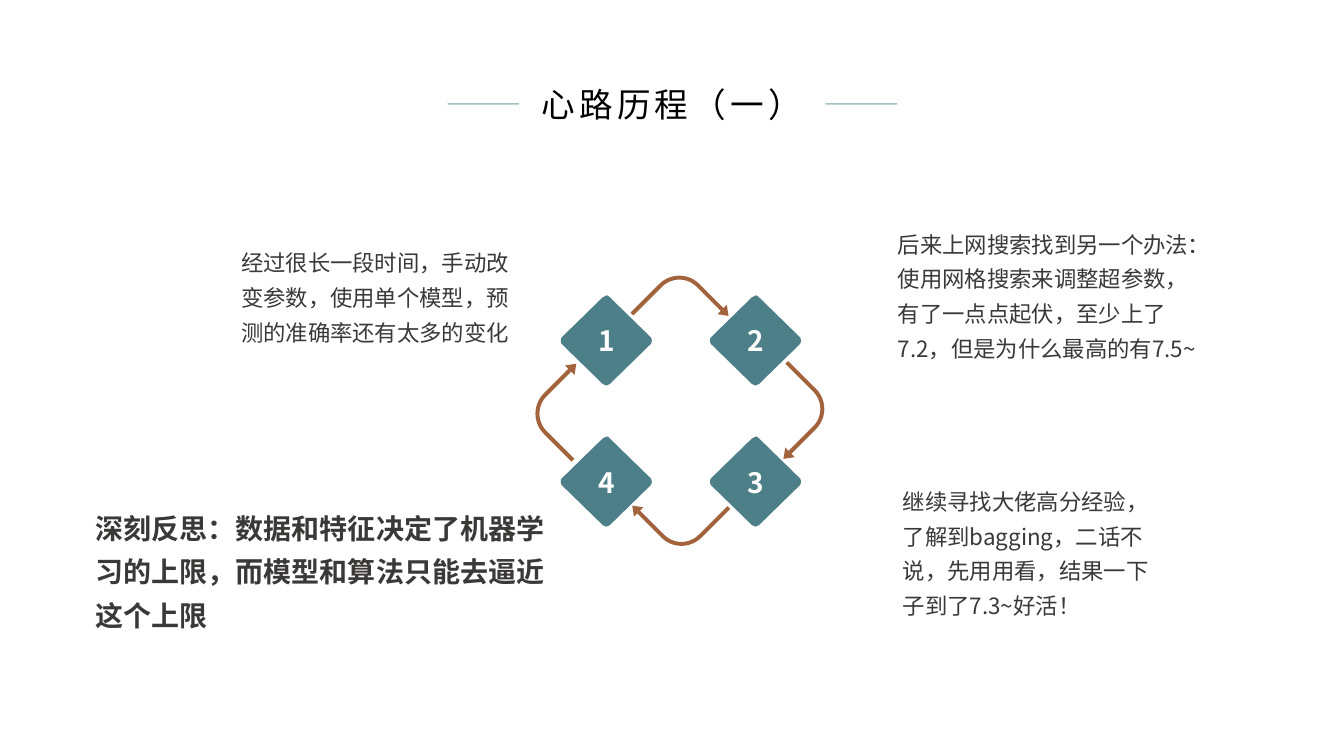
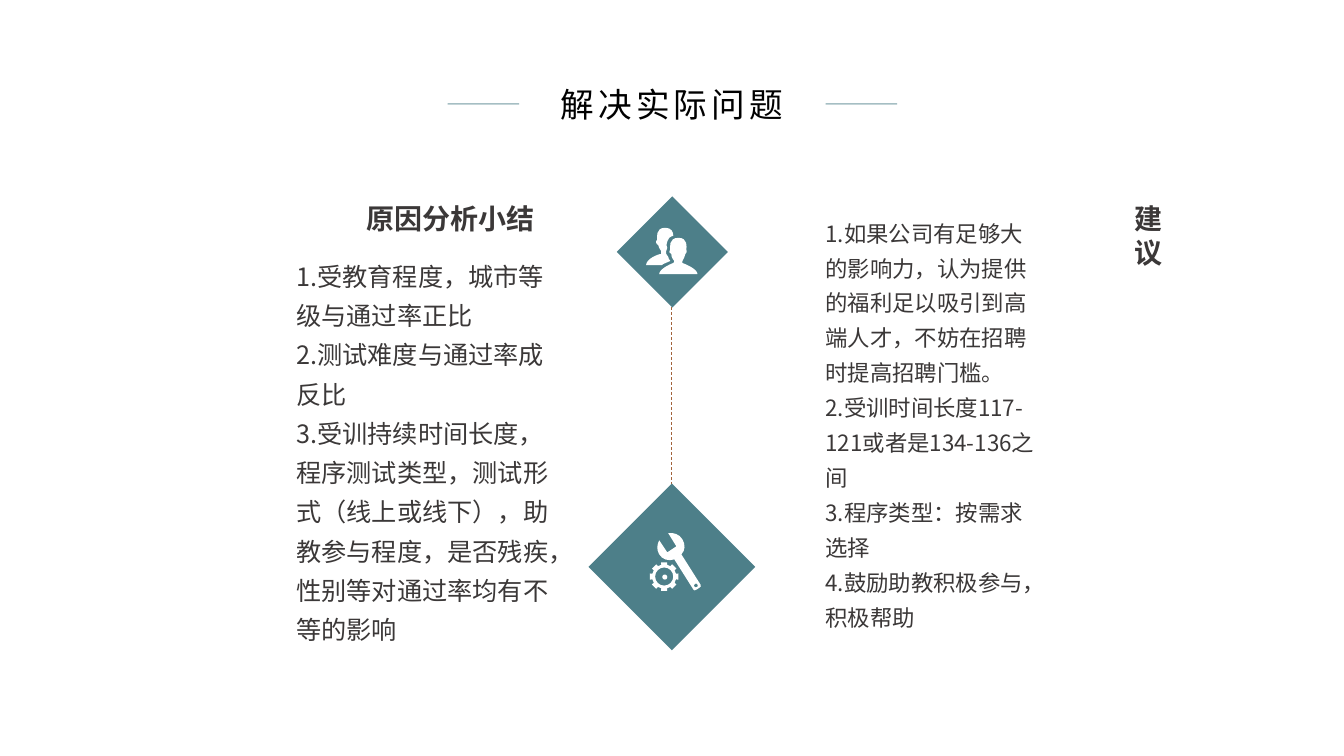
import math

import pptx
import pptx.dml.color
import pptx.enum.dml
import pptx.enum.shapes
import pptx.enum.text
import pptx.oxml.ns
import pptx.util

PX = 9144  # 100 px to the inch
FONT = "Noto Sans CJK SC"
TEAL, BROWN, WHITE, BLACK, GREY = "4D7F89", "A2633C", "FFFFFF", "000000", "3B3838"
ALIGN = pptx.enum.text.PP_ALIGN
ANCHOR = pptx.enum.text.MSO_ANCHOR
SHAPE = pptx.enum.shapes.MSO_SHAPE

DIAMOND = ("M 46 0 C 47 0 48 1 49 2 L 90 42 C 91 44 91 46 90 48 L 49 88 "
           "C 47 90 44 90 42 88 L 1 48 C 0 46 0 44 1 42 L 42 2 C 43 1 44 0 46 0 Z")
PEOPLE = ("M 36 35 L 36 33 C 36 33 38 30 39 26 C 40 26 41 23 40 21 "
          "C 40 20 42 10 32 10 C 22 10 24 20 24 21 C 22 23 23 26 25 26 "
          "C 25 30 28 33 28 33 C 28 33 28 35 27 35 C 24 36 13 41 13 46 "
          "L 51 46 C 51 41 39 36 36 35 Z "
          "M 17 36 C 19 35 22 34 24 33 C 23 32 22 30 22 29 C 21 28 21 27 20 26 "
          "C 20 25 20 24 20 23 C 20 22 20 21 21 20 C 20 18 20 14 23 10 "
          "C 24 9 26 8 27 8 C 27 4 25 0 19 0 C 9 0 11 10 11 12 "
          "C 9 13 10 17 12 17 C 13 21 15 23 15 23 L 15 26 "
          "C 12 26 0 31 0 37 L 16 37 C 17 37 17 36 17 36 Z")
WRENCH = ("M 44 52 L 25 22 C 29 18 29 12 26 7 C 23 2 17 0 12 1 L 20 14 L 11 20 "
          "L 3 8 C 1 12 0 17 3 22 C 6 27 12 29 18 27 L 37 57 "
          "C 37 58 39 58 40 57 L 43 55 C 44 55 45 53 44 52 Z "
          "M 41 54 C 40 55 38 55 38 54 C 37 53 37 52 39 51 "
          "C 39 51 41 51 41 52 C 42 52 41 54 41 54 Z")
GEAR_HOLE = ("M 9 0 C 9 5 5 9 0 9 C -5 9 -9 5 -9 0 "
             "C -9 -5 -5 -9 0 -9 C 5 -9 9 -5 9 0 Z")


def px(*values):
    return [pptx.util.Emu(round(v * PX)) for v in values]


def rgb(color):
    return pptx.dml.color.RGBColor.from_string(color)


def child(parent, tag, **attributes):
    """Append a new element to an XML parent."""
    element = parent.makeelement(pptx.oxml.ns.qn(tag), attributes)
    parent.append(element)
    return element


def paint(sp, color):
    sp.shadow.inherit = False
    sp.fill.solid()
    sp.fill.fore_color.rgb = rgb(color)
    sp.line.fill.background()


def write(sp, lines, size, color=GREY, bold=False, align=ALIGN.LEFT,
          spacing=1.0, tracking=0, anchor=ANCHOR.TOP):
    """Fill a shape with unbulleted paragraphs of one style."""
    tf = sp.text_frame
    tf.word_wrap = True
    tf.vertical_anchor = anchor
    tf.text = "\n".join(lines)
    for p in tf.paragraphs:
        pPr = p._p.get_or_add_pPr()
        pPr.set("marL", "0")
        pPr.set("indent", "0")
        child(pPr, "a:buNone")
        p.alignment = align
        p.line_spacing = spacing
        p.space_before = pptx.util.Pt(0)
        p.font.name = FONT
        p.font.size = pptx.util.Pt(size)
        p.font.bold = bold
        p.font.color.rgb = rgb(color)
        defaults = pPr.find(pptx.oxml.ns.qn("a:defRPr"))
        defaults.set("spc", str(tracking * 100))
        child(defaults, "a:ea", typeface=FONT)


def growing_text(sp, lines, size, **style):
    write(sp, lines, size, **style)
    sp.text_frame.auto_size = pptx.enum.text.MSO_AUTO_SIZE.SHAPE_TO_FIT_TEXT


def text_box(s, box, lines, size, **style):
    growing_text(s.shapes.add_textbox(*px(*box)), lines, size, **style)


def placeholder(s, idx, box, lines, size, **style):
    sp = s.placeholders[idx]
    sp.left, sp.top, sp.width, sp.height = px(*box)
    growing_text(sp, lines, size, **style)


def line(s, ends, color, width, alpha=None, dash=None):
    sp = s.shapes.add_connector(pptx.enum.shapes.MSO_CONNECTOR.STRAIGHT, *px(*ends))
    sp.line.color.rgb = rgb(color)
    sp.line.width = pptx.util.Pt(width)
    if dash:
        sp.line.dash_style = dash
    spPr = sp._element.spPr
    if alpha:
        srgb = next(spPr.iter(pptx.oxml.ns.qn("a:srgbClr")))
        child(srgb, "a:alpha", val=str(alpha * 1000))
    child(spPr, "a:effectLst")


def shape(s, kind, box, color, rotation=0):
    sp = s.shapes.add_shape(kind, *px(*box))
    paint(sp, color)
    sp.rotation = rotation
    return sp


def gear(teeth=8, tip=14.5, root=12):
    """Outline of a toothed ring around its own centre."""
    profile = [(root, -14), (tip, -12), (tip, 12), (root, 14)]
    corners = []
    for i in range(teeth):
        for radius, degrees in profile:
            a = math.radians(i * 360 / teeth + degrees)
            corners.append(f"{radius * math.cos(a):.2f} {radius * math.sin(a):.2f}")
    return "M " + " L ".join(corners) + " Z " + GEAR_HOLE


def freeform(s, outline, left, top, color):
    """Draw an outline of M, L, C and Z commands."""
    tokens = iter(outline.split())
    commands = []
    for command in tokens:
        count = {"C": 3, "Z": 0}.get(command, 1)
        points = [px(left + float(next(tokens)), top + float(next(tokens)))
                  for _ in range(count)]
        commands.append((command, points))
    builder = s.shapes.build_freeform(*commands[0][1][0], scale=1.0)
    for command, points in commands[1:]:
        if command == "M":
            builder.move_to(*points[0])
        else:
            builder.add_line_segments(points, close=command == "Z")
    sp = builder.convert_to_shape()
    segments = iter(list(sp._element.iter(pptx.oxml.ns.qn("a:lnTo"))))
    for command, points in commands:
        if command == "L":
            next(segments)
        elif command == "C":
            curve = [next(segments) for _ in points]
            curve[0].addprevious(bezier := curve[0].makeelement(
                pptx.oxml.ns.qn("a:cubicBezTo"), {}))
            for segment in curve:
                bezier.append(segment[0])
                segment.getparent().remove(segment)
    paint(sp, color)
    return sp


def titled_slide(prs, layout, title):
    s = prs.slides.add_slide(prs.slide_layouts[layout])
    placeholder(s, 0, (519, 78, 295, 50), [title], 24, color=BLACK,
                align=ALIGN.CENTER, tracking=3)
    for x in (444, 819):
        line(s, (x, 103, x + 71, 103), TEAL, 1, alpha=50)
    return s


def journey_slide(prs):
    s = titled_slide(prs, 5, "心路历程（一）")
    arrows = [(641, 273, 71, 73), (746, 373, 72, 72), (638, 469, 71, 73), (531, 371, 72, 72)]
    for i, box in enumerate(arrows):
        sp = shape(s, SHAPE.BENT_ARROW, box, BROWN, rotation=45 + 90 * i)
        for k, value in enumerate((0.055, 0.093, 0.127, 0.395)):
            sp.adjustments[k] = value
    for i, (x, y) in enumerate([(556, 293), (704, 293), (704, 433), (556, 433)], 1):
        sp = freeform(s, DIAMOND, x, y, TEAL)
        write(sp, [str(i)], 20, color=WHITE, bold=True, align=ALIGN.CENTER,
              anchor=ANCHOR.MIDDLE)
    text_box(s, (208, 234, 307, 115),
             ["经过很长一段时间，手动改变参数，使用单个模型，预测的准确率还有太多的变化"],
             16, align=ALIGN.RIGHT, spacing=1.3)
    text_box(s, (881, 216, 327, 150),
             ["后来上网搜索找到另一个办法：使用网格搜索来调整超参数，有了一点点起伏，"
              "至少上了7.2，但是为什么最高的有7.5~"], 16, spacing=1.3)
    text_box(s, (886, 471, 266, 150),
             ["继续寻找大佬高分经验，了解到bagging，二话不说，先用用看，"
              "结果一下子到了7.3~好活！"], 16, spacing=1.3)
    text_box(s, (85, 492, 471, 141),
             ["深刻反思：数据和特征决定了机器学习的上限，而模型和算法只能去逼近这个上限"],
             20, bold=True, spacing=1.3)


def solution_slide(prs):
    s = titled_slide(prs, 4, "解决实际问题")
    placeholder(s, 1, (340, 195, 214, 44), ["原因分析小结"], 20, bold=True, align=ALIGN.CENTER)
    placeholder(s, 2, (284, 245, 271, 403), [
        "1.受教育程度，城市等级与通过率正比",
        "2.测试难度与通过率成反比",
        "3.受训持续时间长度，程序测试类型，测试形式（线上或线下），助教参与程度，"
        "是否残疾，性别等对通过率均有不等的影响",
    ], 18, spacing=1.3)
    placeholder(s, 3, (1110, 195, 58, 77), ["建议"], 20, bold=True, align=ALIGN.CENTER)
    placeholder(s, 4, (809, 205, 233, 430), [
        "1.如果公司有足够大的影响力，认为提供的福利足以吸引到高端人才，"
        "不妨在招聘时提高招聘门槛。",
        "2.受训时间长度117-121或者是134-136之间",
        "3.程序类型：按需求选择",
        "4.鼓励助教积极参与，积极帮助",
    ], 16, spacing=1.3)
    line(s, (666, 305, 666, 480), BROWN, 0.5, dash=pptx.enum.dml.MSO_LINE.DASH)
    for box in ((628, 211, 78, 78), (608, 504, 117, 117)):
        shape(s, SHAPE.RECTANGLE, box, TEAL, rotation=45)
    freeform(s, PEOPLE, 641, 226, WHITE)
    freeform(s, WRENCH, 651, 528, WHITE)
    freeform(s, gear(), 659, 572, WHITE)
    shape(s, SHAPE.OVAL, (657, 570, 5, 5), WHITE)


def main():
    prs = pptx.Presentation()
    prs.slide_width = pptx.util.Inches(40 / 3)
    prs.slide_height = pptx.util.Inches(7.5)
    journey_slide(prs)
    solution_slide(prs)
    prs.save("out.pptx")


if __name__ == "__main__":
    main()
